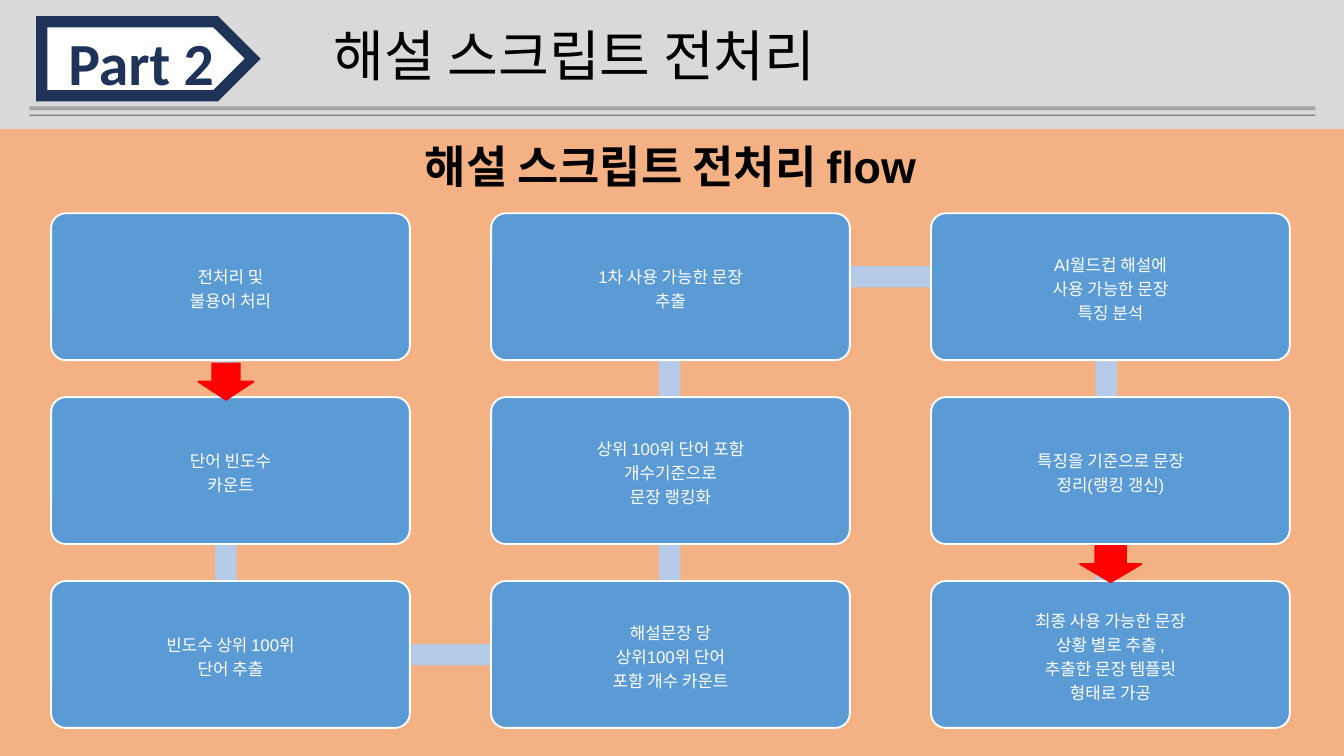
"""Build the script preprocessing flow slide."""
import dataclasses

import lxml.etree
import pptx
import pptx.dml.color
import pptx.enum.shapes
import pptx.enum.text
import pptx.oxml.ns
import pptx.util

Pt = pptx.util.Pt
Kind = pptx.enum.shapes.MSO_SHAPE
Align = pptx.enum.text.PP_ALIGN
Anchor = pptx.enum.text.MSO_ANCHOR
Fit = pptx.enum.text.MSO_AUTO_SIZE


@dataclasses.dataclass(frozen=True)
class Theme:
    """Hold the colours, fonts and type sizes."""
    back: str = "D9D9D9"
    panel: str = "F4B183"
    rule: str = "A6A6A6"
    hair: str = "808080"
    navy: str = "1F3359"
    step: str = "5B9BD5"
    link: str = "B5CBE7"
    arrow: str = "FF0000"
    white: str = "FFFFFF"
    black: str = "000000"
    head: str = "Calibri"
    body: str = "Arial"
    title: float = 29.6
    badge: float = 32
    sub: float = 24
    small: float = 9


THEME = Theme()
LEFT, TOP = 27.4, 114.3
WIDE, HIGH = 192.2, 78.7
COL, ROW = 235.7, 98.5
THICK = 11.6

STEPS = (
    ("전처리 및\n불용어 처리", "단어 빈도수\n카운트", "빈도수 상위 100위\n단어 추출"),
    (
        "1차 사용 가능한 문장\n추출",
        "상위 100위 단어 포함\n개수기준으로\n문장 랭킹화",
        "해설문장 당\n상위100위 단어\n포함 개수 카운트",
    ),
    (
        "AI월드컵 해설에\n사용 가능한 문장\n특징 분석",
        "특징을 기준으로 문장\n정리(랭킹 갱신)",
        "최종 사용 가능한 문장\n상황 별로 추출 ,\n추출한 문장 템플릿\n형태로 가공",
    ),
)


def tint(code):
    """Turn a hex code into a colour."""
    return pptx.dml.color.RGBColor.from_string(code)


def write(frame, text, size, face, code, bold=False, align=Align.LEFT, space=None):
    """Fill a text frame and format its runs."""
    frame.text = text
    for para in frame.paragraphs:
        para.alignment = align
        para.line_spacing = space
        para.space_before = Pt(0)
        for run in para.runs:
            run.font.size = Pt(size)
            run.font.name = face
            run.font.bold = bold
            run.font.color.rgb = tint(code)


def block(slide, kind, area, fill, line=None, width=1):
    """Add a flat preset shape."""
    shape = slide.shapes.add_shape(kind, *map(Pt, area))
    shape.shadow.inherit = False
    shape.fill.solid()
    shape.fill.fore_color.rgb = tint(fill)
    if line:
        shape.line.color.rgb = tint(line)
        shape.line.width = Pt(width)
    else:
        shape.line.fill.background()
    return shape


def label(slide, area, text, size, face, code, align=Align.LEFT, wrap=True):
    """Add a bold text box."""
    frame = slide.shapes.add_textbox(*map(Pt, area)).text_frame
    frame.word_wrap = wrap
    write(frame, text, size, face, code, True, align)


def header(slide):
    """Draw the title, its rules and the part badge."""
    title = slide.shapes.title
    title.left, title.top, title.width, title.height = map(Pt, (171.4, 17.3, 517, 33.1))
    frame = title.text_frame
    frame.auto_size = Fit.NONE
    frame.vertical_anchor = Anchor.TOP
    write(frame, "해설 스크립트 전처리", THEME.title, THEME.head, THEME.black, space=0.7)
    block(slide, Kind.RECTANGLE, (15.7, 57, 689, 2), THEME.rule)
    block(slide, Kind.RECTANGLE, (15.7, 61.4, 689, 0.8), THEME.hair)
    badge = block(slide, Kind.PENTAGON, (22.4, 11.6, 113, 39.7), THEME.white, THEME.navy, 6)
    edge = badge.line._get_or_add_ln()
    lxml.etree.SubElement(edge, pptx.oxml.ns.qn("a:miter"), lim="800000")
    label(slide, (29.5, 10.1, 93.6, 46), "Part 2", THEME.badge, THEME.head,
          THEME.navy, wrap=False)


def step(slide, col, row, text):
    """Add one step of the flow at its grid place."""
    area = (LEFT + col * COL, TOP + row * ROW, WIDE, HIGH)
    card = block(slide, Kind.ROUNDED_RECTANGLE, area, THEME.step, THEME.white)
    card.adjustments[0] = 0.1
    frame = card.text_frame
    frame.word_wrap = True
    frame.vertical_anchor = Anchor.MIDDLE
    frame.margin_left = frame.margin_right = Pt(5)
    frame.margin_top = frame.margin_bottom = Pt(5)
    write(frame, text, THEME.small, THEME.body, THEME.white,
          align=Align.CENTER, space=Pt(12.9))


def flow(slide):
    """Draw the links, steps and arrows."""
    for left in (115.2, 352.9, 586.8):
        for row in range(2):
            area = (left, TOP + 20 + row * ROW, THICK, ROW)
            block(slide, Kind.RECTANGLE, area, THEME.link)
    for left, top in ((81.4, 344.9), (321.1, 142.4)):
        block(slide, Kind.RECTANGLE, (left, top, COL, THICK), THEME.link)
    for col, texts in enumerate(STEPS):
        for row, text in enumerate(texts):
            step(slide, col, row, text)
    for area in ((106.3, 194.8, 29.5, 19.4), (578.6, 292.5, 32.8, 19.4)):
        block(slide, Kind.DOWN_ARROW, area, THEME.arrow, THEME.arrow)


def main():
    """Build and save the slide."""
    deck = pptx.Presentation()
    deck.slide_width, deck.slide_height = Pt(720), Pt(405)
    slide = deck.slides.add_slide(deck.slide_layouts[5])
    slide.background.fill.solid()
    slide.background.fill.fore_color.rgb = tint(THEME.back)
    header(slide)
    block(slide, Kind.RECTANGLE, (0, 69, 720, 336), THEME.panel)
    label(slide, (79.2, 70.6, 560, 36), "해설 스크립트 전처리 flow", THEME.sub,
          THEME.body, THEME.black, Align.CENTER)
    flow(slide)
    deck.save("out.pptx")


if __name__ == "__main__":
    main()
